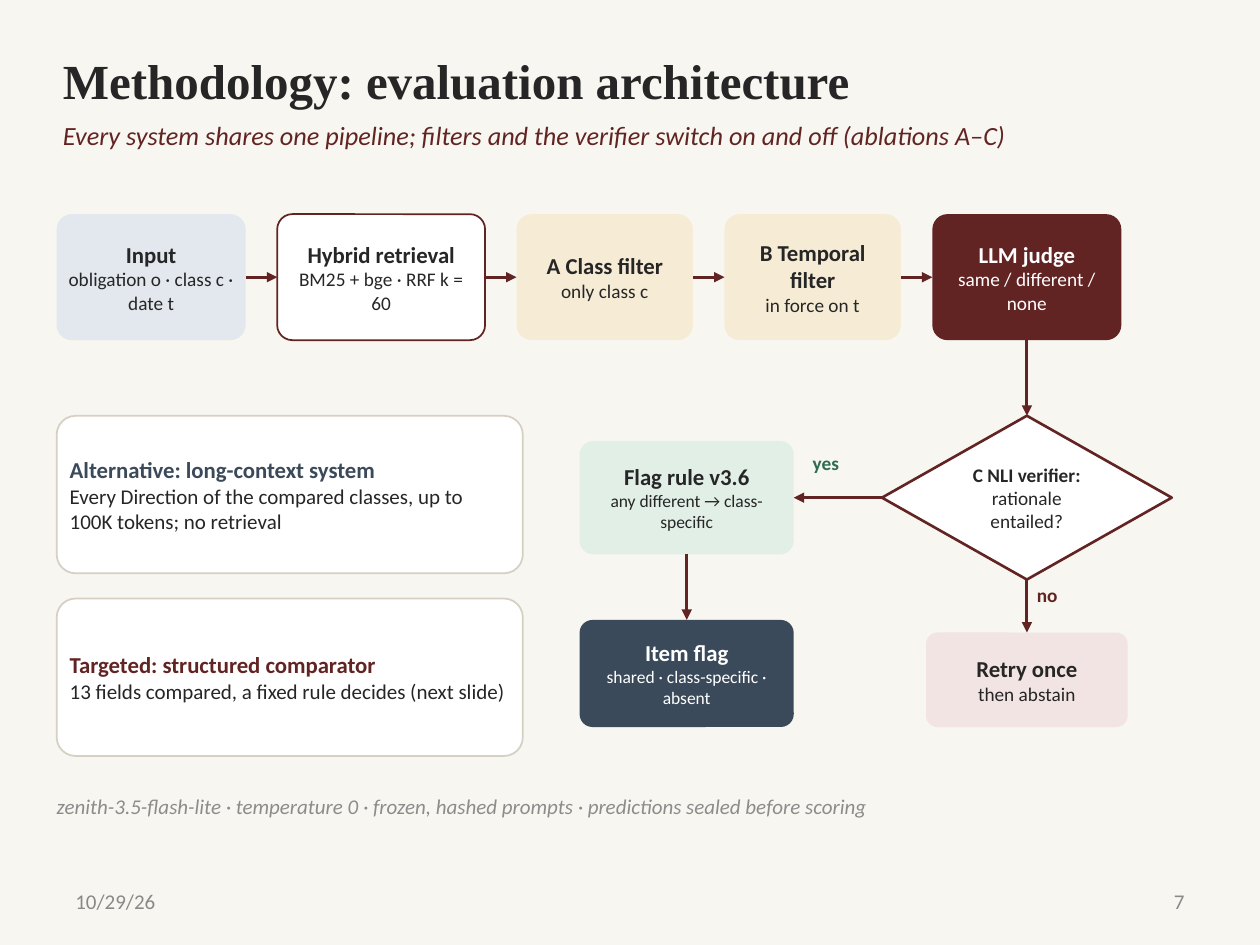
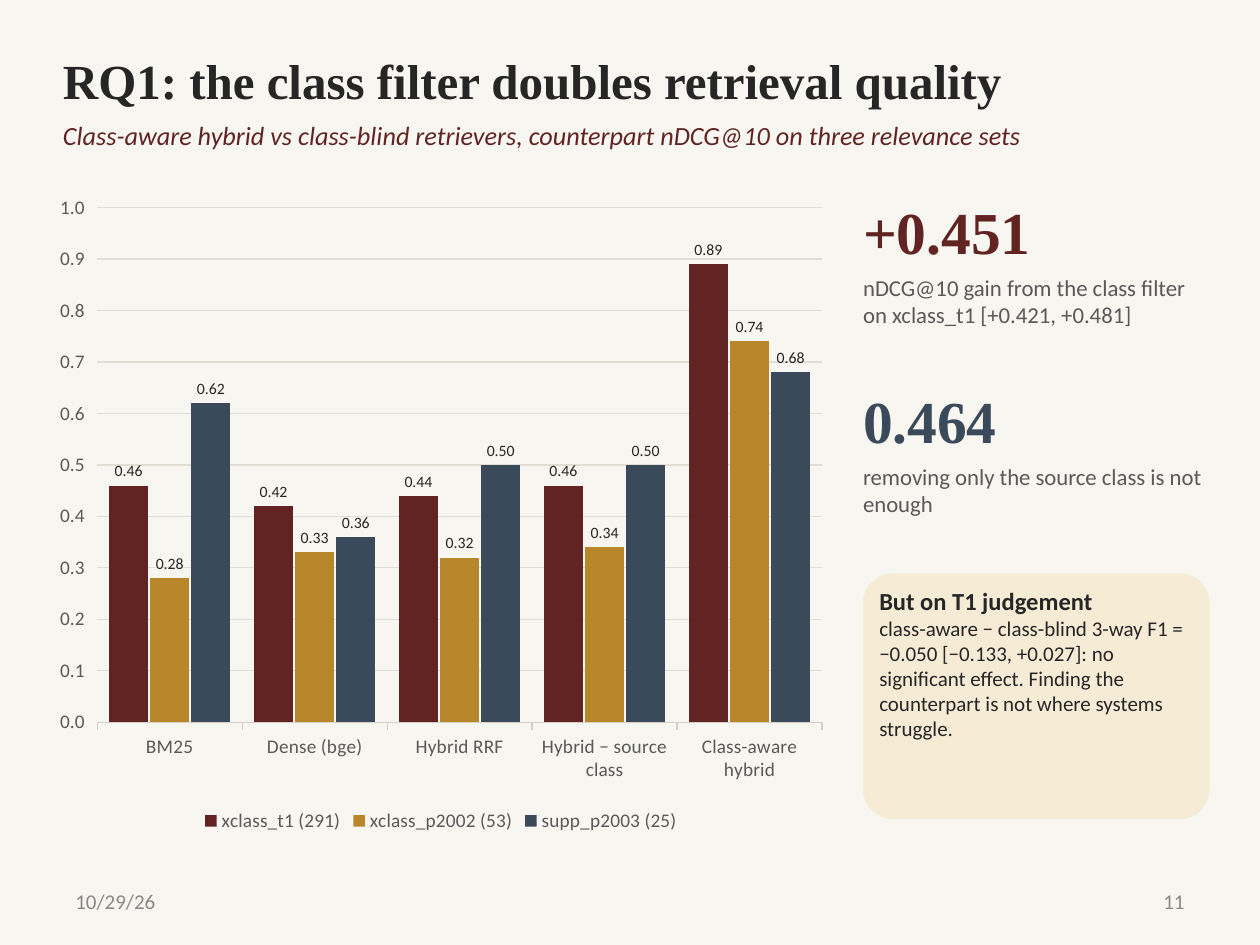
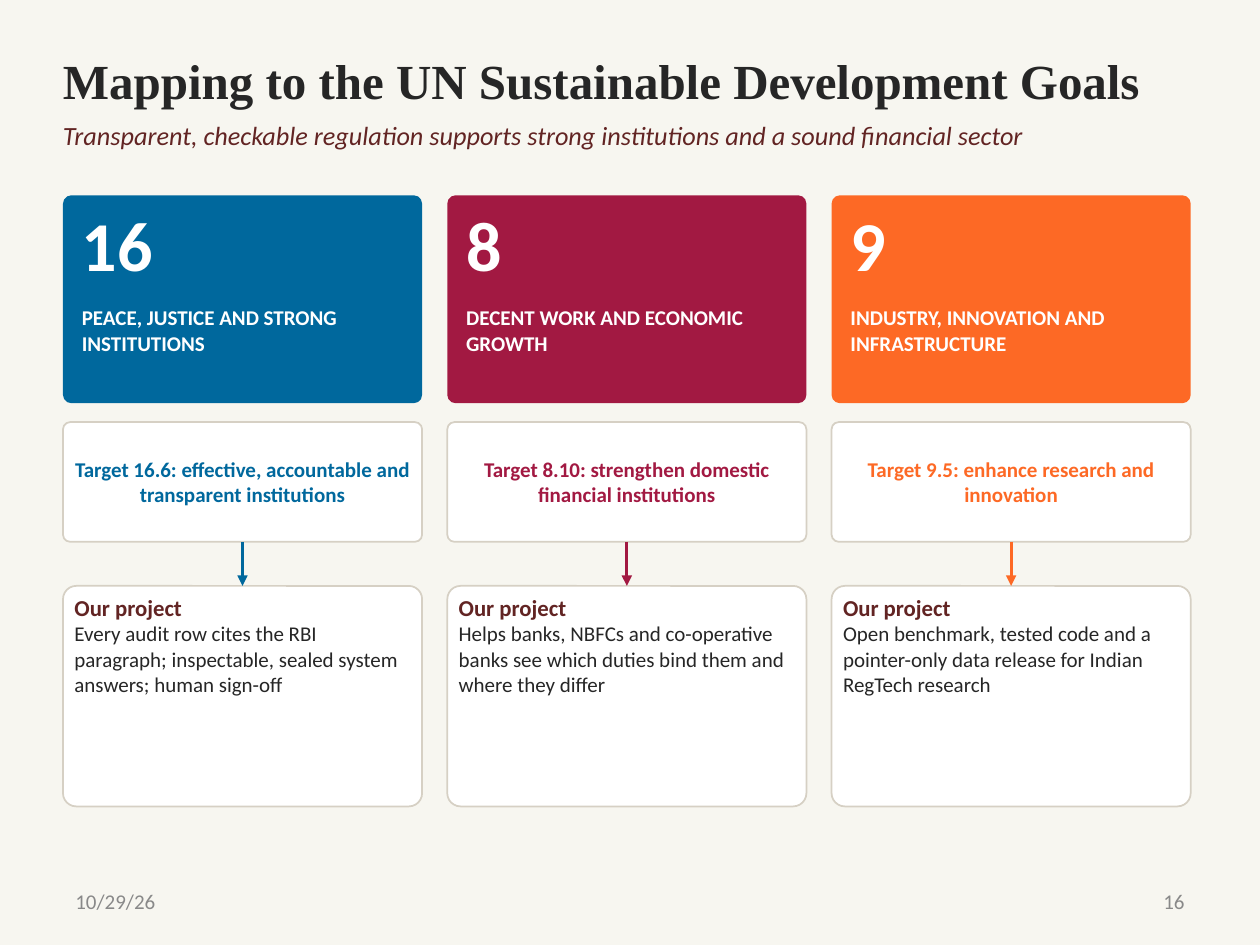
from lxml import etree
from pptx import Presentation
from pptx.chart.data import CategoryChartData
from pptx.dml.color import RGBColor
from pptx.enum.chart import XL_CHART_TYPE, XL_LABEL_POSITION, XL_LEGEND_POSITION, XL_TICK_MARK
from pptx.enum.shapes import MSO_CONNECTOR, MSO_SHAPE
from pptx.enum.text import MSO_ANCHOR, PP_ALIGN
from pptx.oxml.ns import qn
from pptx.util import Inches, Pt

ROUNDED, DIAMOND = MSO_SHAPE.ROUNDED_RECTANGLE, MSO_SHAPE.DIAMOND
STRAIGHT = MSO_CONNECTOR.STRAIGHT
LEFT, CENTER, RIGHT = PP_ALIGN.LEFT, PP_ALIGN.CENTER, PP_ALIGN.RIGHT
TOP, MIDDLE = MSO_ANCHOR.TOP, MSO_ANCHOR.MIDDLE
COLUMNS = XL_CHART_TYPE.COLUMN_CLUSTERED
OUTSIDE_END, TICK_OUTSIDE = XL_LABEL_POSITION.OUTSIDE_END, XL_TICK_MARK.OUTSIDE
LEGEND_BOTTOM = XL_LEGEND_POSITION.BOTTOM
TOP_SIDE, LEFT_SIDE, BOTTOM_SIDE, RIGHT_SIDE = range(4)

SANS, SERIF = "Calibri", "Times New Roman"
PAPER, INK, WHITE = "F7F6F0", "262626", "FFFFFF"
MAROON, SLATE, GOLD, GREEN = "622423", "3B4A5A", "B8862B", "2E6B4F"
SAND, MIST, MINT, ROSE = "F6ECD6", "E3E8EE", "E2EFE7", "F1E4E2"
BORDER, GRID, GRAY = "D6D0C4", "E2DED5", "595959"
FOOTER_GRAY, NOTE_GRAY = "898989", "8C8C8C"
NO_INSETS, FOOTER_INSETS = (0, 0), (0.1, 0.05)
TITLE_INSETS, SHAPE_INSETS = (0, 0.05), (0.06, 0.03)


def rgb(color):
    return RGBColor.from_string(color)


def style(size, color=INK, bold=False, italic=False, name=SANS):
    return {"size": Pt(size), "color": color, "bold": bold, "italic": italic, "name": name}


def apply_font(font, values):
    for attribute, value in values.items():
        if attribute == "color":
            font.color.rgb = rgb(value)
        else:
            setattr(font, attribute, value)


def write(shape, lines, align=LEFT, anchor=TOP, insets=NO_INSETS):
    frame = shape.text_frame
    horizontal, vertical = map(Inches, insets)
    settings = {
        "word_wrap": True, "vertical_anchor": anchor,
        "margin_left": horizontal, "margin_right": horizontal,
        "margin_top": vertical, "margin_bottom": vertical,
    }
    for attribute, value in settings.items():
        setattr(frame, attribute, value)
    for index, (text, font_values) in enumerate(lines):
        paragraph = frame.add_paragraph() if index else frame.paragraphs[0]
        paragraph.alignment = align
        run = paragraph.add_run()
        run.text = text
        apply_font(run.font, font_values)


def add_text(slide, box, text, font_values, **layout):
    shape = slide.shapes.add_textbox(*map(Inches, box))
    write(shape, [(text, font_values)], **layout)


def add_box(slide, box, fill, lines=(), border=None, width=1, corner=0.12,
            kind=ROUNDED, align=CENTER, anchor=MIDDLE):
    shape = slide.shapes.add_shape(kind, *map(Inches, box))
    shape.shadow.inherit = False
    if kind == ROUNDED:
        shape.adjustments[0] = corner
    shape.fill.solid()
    shape.fill.fore_color.rgb = rgb(fill)
    if border:
        shape.line.color.rgb = rgb(border)
        shape.line.width = Pt(width)
    else:
        shape.line.fill.background()
    if lines:
        write(shape, lines, align, anchor, SHAPE_INSETS)
    return shape


def add_arrow(slide, start, start_side, end, end_side, color=MAROON):
    connector = slide.shapes.add_connector(STRAIGHT, 0, 0, 0, 0)
    connector.begin_connect(start, start_side)
    connector.end_connect(end, end_side)
    connector.line.color.rgb = rgb(color)
    connector.line.width = Pt(1.75)
    line = connector.line._get_or_add_ln()
    etree.SubElement(line, qn("a:tailEnd"), type="triangle")
    etree.SubElement(connector._element.spPr, qn("a:effectLst"))


def heading_and_body(heading, body, color=INK, body_size=11, heading_size=13, body_color=None):
    return [(heading, style(heading_size, color, bold=True)),
            (body, style(body_size, body_color or color))]


def add_base_slide(presentation, title, subtitle, number):
    slide = presentation.slides.add_slide(presentation.slide_layouts[6])
    footer = style(12, FOOTER_GRAY)
    add_text(slide, (0.5, 6.95, 2.33, 0.4), "10/29/26", footer,
             anchor=MIDDLE, insets=FOOTER_INSETS)
    add_text(slide, (7.17, 6.95, 2.33, 0.4), number, footer,
             align=RIGHT, anchor=MIDDLE, insets=FOOTER_INSETS)
    add_text(slide, (0.5, 0.32, 9, 0.62), title, style(28, bold=True, name=SERIF),
             anchor=MIDDLE, insets=TITLE_INSETS)
    add_text(slide, (0.5, 0.95, 9, 0.42), subtitle, style(15, MAROON, italic=True))
    return slide


def add_pipeline(slide, left, top):
    steps = [
        ("Input", "obligation o · class c · date t", 1.5, MIST, INK, None),
        ("Hybrid retrieval", "BM25 + bge · RRF k = 60", 1.65, WHITE, INK, MAROON),
        ("A Class filter", "only class c", 1.4, SAND, INK, None),
        ("B Temporal filter", "in force on t", 1.4, SAND, INK, None),
        ("LLM judge", "same / different / none", 1.5, MAROON, WHITE, None),
    ]
    previous = None
    for heading, body, width, fill, color, border in steps:
        step = add_box(slide, (left, top, width, 1), fill,
                       heading_and_body(heading, body, color), border)
        if previous:
            add_arrow(slide, previous, RIGHT_SIDE, step, LEFT_SIDE)
        previous = step
        left += width + 0.25
    return previous


def add_verification(slide, left, top, judge):
    question = [("C NLI verifier:", style(11, bold=True)),
                ("rationale", style(11)), ("entailed?", style(11))]
    verifier = add_box(slide, (left + 2.4, top, 2.3, 1.3), WHITE, question,
                       MAROON, 1.5, kind=DIAMOND)
    flag_rule = add_box(slide, (left, top + 0.2, 1.7, 0.9), MINT,
                        heading_and_body("Flag rule v3.6", "any different → class-specific",
                                         body_size=10))
    item_flag = add_box(slide, (left, top + 1.62, 1.7, 0.85), SLATE,
                        heading_and_body("Item flag", "shared · class-specific · absent",
                                         WHITE, 10))
    retry = add_box(slide, (left + 2.75, top + 1.72, 1.6, 0.75), ROSE,
                    heading_and_body("Retry once", "then abstain"))
    add_arrow(slide, judge, BOTTOM_SIDE, verifier, TOP_SIDE)
    add_arrow(slide, verifier, LEFT_SIDE, flag_rule, RIGHT_SIDE)
    add_arrow(slide, flag_rule, BOTTOM_SIDE, item_flag, TOP_SIDE)
    add_arrow(slide, verifier, BOTTOM_SIDE, retry, TOP_SIDE)
    add_text(slide, (left + 1.85, top + 0.28, 0.5, 0.3), "yes", style(11, GREEN, bold=True))
    add_text(slide, (left + 3.63, top + 1.33, 0.4, 0.3), "no", style(11, MAROON, bold=True))


def add_other_systems(slide, left, top):
    systems = [
        ("Alternative: long-context system", SLATE,
         "Every Direction of the compared classes, up to 100K tokens; no retrieval"),
        ("Targeted: structured comparator", MAROON,
         "13 fields compared, a fixed rule decides (next slide)"),
    ]
    for index, (heading, color, body) in enumerate(systems):
        add_box(slide, (left, top + 1.45 * index, 3.7, 1.25), WHITE,
                heading_and_body(heading, body, color, 12, body_color=INK),
                BORDER, align=LEFT)


def build_architecture(presentation):
    slide = add_base_slide(
        presentation, "Methodology: evaluation architecture",
        "Every system shares one pipeline; filters and the verifier switch on and off "
        "(ablations A–C)", "7")
    judge = add_pipeline(slide, 0.45, 1.7)
    add_verification(slide, 4.6, 3.3, judge)
    add_other_systems(slide, 0.45, 3.3)
    add_text(slide, (0.45, 6.3, 9, 0.4),
             "zenith-3.5-flash-lite · temperature 0 · frozen, hashed prompts · "
             "predictions sealed before scoring", style(12, NOTE_GRAY, italic=True))


def add_retrieval_chart(slide, box):
    scores = [
        ("xclass_t1 (291)", (0.46, 0.42, 0.44, 0.46, 0.89), MAROON),
        ("xclass_p2002 (53)", (0.28, 0.33, 0.32, 0.34, 0.74), GOLD),
        ("supp_p2003 (25)", (0.62, 0.36, 0.5, 0.5, 0.68), SLATE),
    ]
    data = CategoryChartData(number_format="0.00")
    data.categories = ["BM25", "Dense (bge)", "Hybrid RRF", "Hybrid − source class",
                       "Class-aware hybrid"]
    for name, values, _ in scores:
        data.add_series(name, values)
    chart = slide.shapes.add_chart(COLUMNS, *map(Inches, box), data).chart
    apply_font(chart.font, style(11, GRAY))
    chart.has_title = False
    chart.has_legend = True
    chart.legend.position = LEGEND_BOTTOM
    chart.legend.include_in_layout = False
    apply_font(chart.legend.font, style(11, GRAY))

    plot = chart.plots[0]
    for attribute, value in {"gap_width": 60, "overlap": -5, "vary_by_categories": False}.items():
        setattr(plot, attribute, value)
    for series, (_, _, color) in zip(plot.series, scores):
        series.format.fill.solid()
        series.format.fill.fore_color.rgb = rgb(color)
        labels = series.data_labels
        label_values = {"show_value": True, "position": OUTSIDE_END,
                        "number_format": "0.00", "number_format_is_linked": False}
        for attribute, value in label_values.items():
            setattr(labels, attribute, value)
        apply_font(labels.font, style(9))

    value_axis, category_axis = chart.value_axis, chart.category_axis
    axis_values = {"minimum_scale": 0, "maximum_scale": 1, "major_unit": 0.1,
                   "has_major_gridlines": True, "major_tick_mark": TICK_OUTSIDE}
    for attribute, value in axis_values.items():
        setattr(value_axis, attribute, value)
    value_axis.tick_labels.number_format = "0.0"
    value_axis.tick_labels.number_format_is_linked = False
    value_axis.format.line.fill.background()
    category_axis.major_tick_mark = TICK_OUTSIDE
    for line, color in ((value_axis.major_gridlines.format.line, GRID),
                        (category_axis.format.line, BORDER)):
        line.color.rgb = rgb(color)
        line.width = Pt(0.75)


def add_findings(slide, left, top, width):
    findings = [
        ("+0.451", MAROON, "nDCG@10 gain from the class filter on xclass_t1 [+0.421, +0.481]"),
        ("0.464", SLATE, "removing only the source class is not enough"),
    ]
    for index, (figure, color, caption) in enumerate(findings):
        figure_top = top + 1.5 * index
        add_text(slide, (left, figure_top, width, 0.62), figure,
                 style(34, color, bold=True, name=SERIF))
        add_text(slide, (left, figure_top + 0.62, width, 0.5), caption, style(13, GRAY))
    add_box(slide, (left, top + 3, width, 1.95), SAND,
            heading_and_body(
                "But on T1 judgement",
                "class-aware − class-blind 3-way F1 = −0.050 [−0.133, +0.027]: no significant "
                "effect. Finding the counterpart is not where systems struggle.",
                body_size=12, heading_size=14),
            align=LEFT, anchor=TOP)


def build_retrieval_results(presentation):
    slide = add_base_slide(
        presentation, "RQ1: the class filter doubles retrieval quality",
        "Class-aware hybrid vs class-blind retrievers, counterpart nDCG@10 on three "
        "relevance sets", "11")
    add_retrieval_chart(slide, (0.35, 1.45, 6.3, 5.2))
    add_findings(slide, 6.85, 1.55, 2.75)


def add_goal(slide, left, top, number, color, name, target, contribution):
    width = 2.85
    add_box(slide, (left, top, width, 1.65), color, corner=0.04)
    add_text(slide, (left + 0.15, top + 0.05, 0.9, 0.85), number, style(40, WHITE, bold=True))
    add_text(slide, (left + 0.15, top + 0.87, 2.6, 0.75), name, style(12, WHITE, bold=True))
    target_box = add_box(slide, (left, top + 1.8, width, 0.95), WHITE,
                         [(target, style(12, color, bold=True))], BORDER, corner=0.06)
    project_box = add_box(slide, (left, top + 3.1, width, 1.75), WHITE,
                          heading_and_body("Our project", contribution, MAROON, 12,
                                           body_color=INK),
                          BORDER, corner=0.06, align=LEFT, anchor=TOP)
    add_arrow(slide, target_box, BOTTOM_SIDE, project_box, TOP_SIDE, color)


def build_goals(presentation):
    slide = add_base_slide(
        presentation, "Mapping to the UN Sustainable Development Goals",
        "Transparent, checkable regulation supports strong institutions and a sound "
        "financial sector", "16")
    goals = [
        ("16", "00689D", "PEACE, JUSTICE AND STRONG INSTITUTIONS",
         "Target 16.6: effective, accountable and transparent institutions",
         "Every audit row cites the RBI paragraph; inspectable, sealed system answers; "
         "human sign-off"),
        ("8", "A21942", "DECENT WORK AND ECONOMIC GROWTH",
         "Target 8.10: strengthen domestic financial institutions",
         "Helps banks, NBFCs and co-operative banks see which duties bind them and where "
         "they differ"),
        ("9", "FD6925", "INDUSTRY, INNOVATION AND INFRASTRUCTURE",
         "Target 9.5: enhance research and innovation",
         "Open benchmark, tested code and a pointer-only data release for Indian RegTech "
         "research"),
    ]
    for index, goal in enumerate(goals):
        add_goal(slide, 0.5 + 3.05 * index, 1.55, *goal)


def main():
    presentation = Presentation()
    presentation.slide_width, presentation.slide_height = Inches(10), Inches(7.5)
    background = presentation.slide_master.background.fill
    background.solid()
    background.fore_color.rgb = rgb(PAPER)
    build_architecture(presentation)
    build_retrieval_results(presentation)
    build_goals(presentation)
    presentation.save("out.pptx")


if __name__ == "__main__":
    main()
